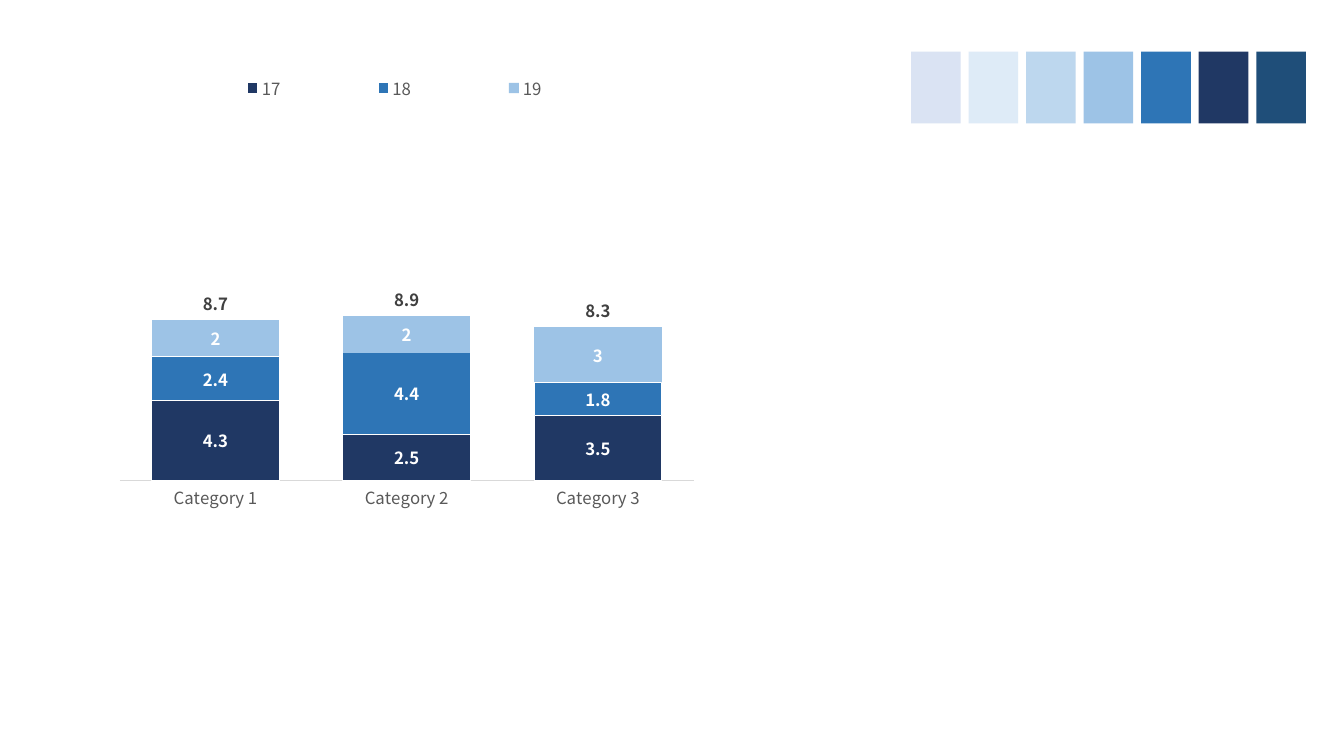
from lxml import etree
from pptx import Presentation
from pptx import util as u
from pptx.chart.data import CategoryChartData
from pptx.dml.color import RGBColor
from pptx.enum import chart as ch, shapes
from pptx.oxml.ns import qn


class Theme:
    face = "Noto Sans CJK KR"
    size = 12
    navy, blue, sky = "203864", "2E75B6", "9DC3E6"
    white, grey, dark, rule = "FFFFFF", "595959", "404040", "D9D9D9"
    swatches = ["DAE3F3", "DEEBF7", "BDD7EE", sky, blue, navy, "1F4E79"]


CATS = ["Category 1", "Category 2", "Category 3"]
# name, values, fill, outlined, label colour, label place
CENTER, BASE = ch.XL_LABEL_POSITION.CENTER, ch.XL_LABEL_POSITION.INSIDE_BASE
ROWS = [
    ("17", (4.3, 2.5, 3.5), Theme.navy, True, Theme.white, CENTER),
    ("18", (2.4, 4.4, 1.8), Theme.blue, True, Theme.white, CENTER),
    ("19", (2, 2, 3), Theme.sky, False, Theme.white, CENTER),
    ("Series 4", (8.7, 8.9, 8.3), Theme.white, False, Theme.dark, BASE),
]


def rgb(code):
    return RGBColor.from_string(code)


def style(font, color=Theme.grey, size=Theme.size, bold=False):
    font.name, font.size, font.bold = Theme.face, u.Pt(size), bold
    font.color.rgb = rgb(color)


def stroke(line, color=None):
    if color:
        line.color.rgb = rgb(color)
        line.width = u.Pt(0.75)
    else:
        line.fill.background()


def node(tag, val=None):
    item = etree.Element(qn("c:" + tag))
    if val is not None:
        item.set("val", str(val))
    return item


def layout(x, y, w, h, inner=False):
    """Manual layout in fractions of the chart area."""
    root, box = node("layout"), node("manualLayout")
    root.append(box)
    if inner:
        box.append(node("layoutTarget", "inner"))
    box.extend([node("xMode", "edge"), node("yMode", "edge")])
    box.extend(node(tag, val) for tag, val in zip("xywh", (x, y, w, h)))
    return root


def place(chart):
    """Fix the plot and legend areas and hide the totals' legend entry."""
    plot = chart.element.xpath(".//c:plotArea")[0]
    for old in plot.findall(qn("c:layout")):
        plot.remove(old)
    plot.insert(0, layout(0.02, 0.11, 0.96, 0.8, inner=True))

    key = chart.element.xpath(".//c:legend")[0]
    for old in key.findall(qn("c:layout")):
        key.remove(old)
    entry = node("legendEntry")
    entry.extend([node("idx", len(ROWS) - 1), node("delete", 1)])
    pos = key.find(qn("c:legendPos"))
    pos.addnext(entry)
    entry.addnext(layout(0.08, 0.02, 0.8, 0.08))


def add_bars(slide, x, y, w, h):
    data = CategoryChartData()
    data.categories = CATS
    for name, vals, *_ in ROWS:
        data.add_series(name, vals)
    chart = slide.shapes.add_chart(
        ch.XL_CHART_TYPE.COLUMN_STACKED,
        u.Cm(x), u.Cm(y), u.Cm(w), u.Cm(h), data).chart
    style(chart.font)
    chart.has_title = False

    # Axes
    for axis in (chart.category_axis, chart.value_axis):
        axis.major_tick_mark = axis.minor_tick_mark = ch.XL_TICK_MARK.NONE
        axis.has_major_gridlines = False
        style(axis.tick_labels.font)
    stroke(chart.category_axis.format.line, Theme.rule)
    stroke(chart.value_axis.format.line)
    chart.value_axis.tick_label_position = ch.XL_TICK_LABEL_POSITION.NONE
    chart.value_axis.minimum_scale = 0
    chart.value_axis.maximum_scale = 20

    # Series and their labels
    plot = chart.plots[0]
    plot.gap_width, plot.overlap = 50, 100
    plot.vary_by_categories = False
    for series, (_, _, fill, edge, color, pos) in zip(plot.series, ROWS):
        series.format.fill.solid()
        series.format.fill.fore_color.rgb = rgb(fill)
        stroke(series.format.line, Theme.white if edge else None)
        labels = series.data_labels
        labels.show_value = True
        labels.position = pos
        style(labels.font, color, bold=True)

    # Legend
    chart.has_legend = True
    chart.legend.position = ch.XL_LEGEND_POSITION.TOP
    chart.legend.include_in_layout = False
    style(chart.legend.font)
    place(chart)


def add_swatches(slide, x, y, w, h, step):
    group = slide.shapes.add_group_shape()
    for i, color in enumerate(Theme.swatches):
        box = group.shapes.add_shape(
            shapes.MSO_SHAPE.RECTANGLE,
            u.Cm(x + i * step), u.Cm(y), u.Cm(w), u.Cm(h))
        box.shadow.inherit = False
        box.fill.solid()
        box.fill.fore_color.rgb = rgb(color)
        stroke(box.line)


def main():
    deck = Presentation()
    deck.slide_width, deck.slide_height = u.Cm(33.87), u.Cm(19.05)
    slide = deck.slides.add_slide(deck.slide_layouts[6])
    add_bars(slide, 2.72, 1.52, 15.06, 11.63)
    add_swatches(slide, 22.96, 1.3, 1.25, 1.81, step=1.45)
    deck.save("out.pptx")


main()
